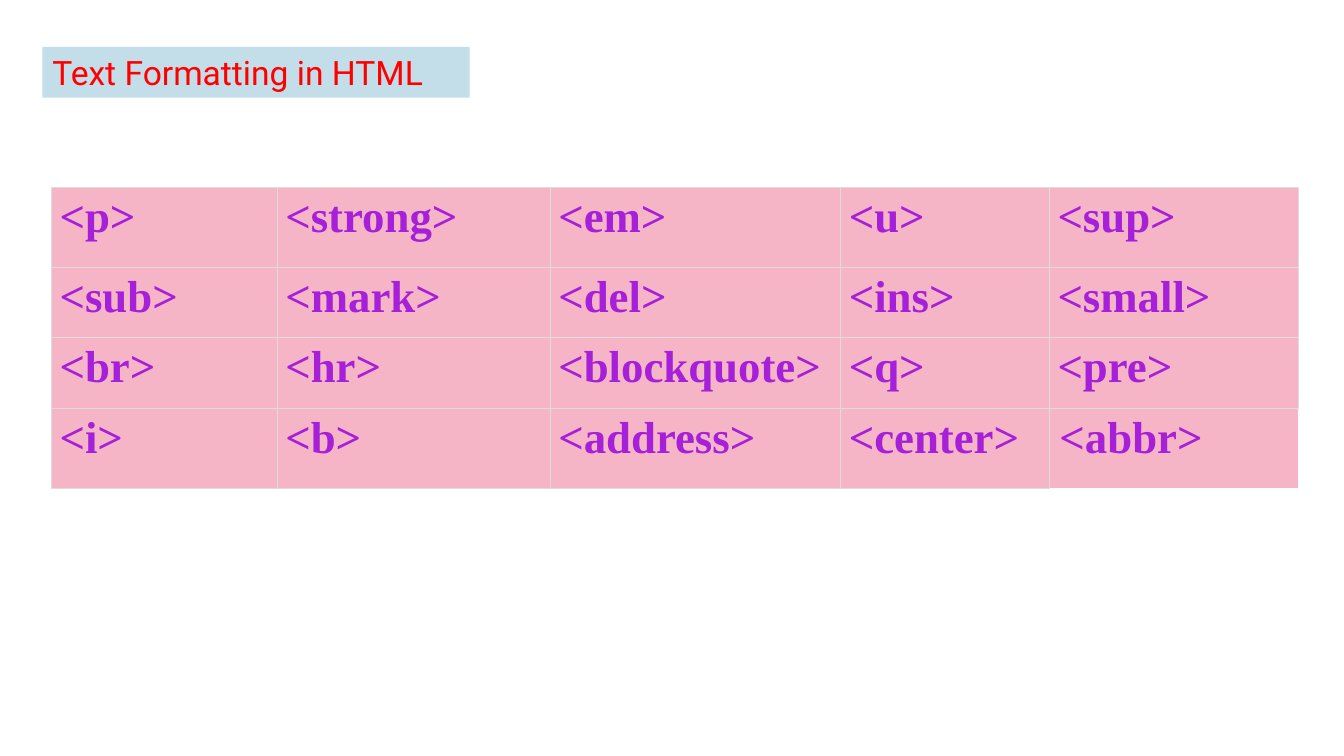
from lxml import etree
from pptx import Presentation
from pptx.dml.color import RGBColor
from pptx.enum.shapes import MSO_SHAPE
from pptx.enum.text import MSO_ANCHOR, PP_ALIGN
from pptx.oxml.ns import qn
from pptx.util import Cm, Pt

RECT = MSO_SHAPE.RECTANGLE
LEFT = PP_ALIGN.LEFT
TOP = MSO_ANCHOR.TOP

RED = RGBColor(0xFF, 0x00, 0x00)
BLUE = RGBColor(0xC3, 0xDE, 0xE9)
PINK = RGBColor(0xF6, 0xB5, 0xC7)
PURPLE = RGBColor(0xA5, 0x20, 0xD8)
GRAY = RGBColor(0xDD, 0xDD, 0xDD)

SIDES = "LRTB"
COLS = [5.69, 6.88, 7.32, 5.26, 6.27]
ROWS = [2.01, 1.78, 1.78, 2.01]
TAGS = [
    ["<p>", "<strong>", "<em>", "<u>", "<sup>"],
    ["<sub>", "<mark>", "<del>", "<ins>", "<small>"],
    ["<br>", "<hr>", "<blockquote>", "<q>", "<pre>"],
    ["<i>", "<b>", "<address>", "<center>", "<abbr>"],
]


def write(frame, text, font, size, color, bold=False):
    para = frame.paragraphs[0]
    para.alignment = LEFT
    run = para.add_run()
    run.text = text
    run.font.name = font
    run.font.size = Pt(size)
    run.font.color.rgb = color
    run.font.bold = bold


def edge(cell, drawn):
    """Draw the named sides of a cell and clear the others."""
    props = cell._tc.get_or_add_tcPr()
    for side in SIDES:
        line = etree.SubElement(props, qn(f"a:ln{side}"), w=str(Pt(0.75)))
        if side in drawn:
            fill = etree.SubElement(line, qn("a:solidFill"))
            etree.SubElement(fill, qn("a:srgbClr"), val=str(GRAY))
        else:
            etree.SubElement(line, qn("a:noFill"))


class Page:
    def __init__(self, slide):
        self.slide = slide
        self.head = {"font": "Roboto", "size": 24, "color": RED}
        self.body = {"font": "Times New Roman", "size": 32,
                     "color": PURPLE, "bold": True}

    def title(self, text, left, top, width, height):
        box = self.slide.shapes.add_shape(
            RECT, Cm(left), Cm(top), Cm(width), Cm(height))
        box.shadow.inherit = False
        box.fill.solid()
        box.fill.fore_color.rgb = BLUE
        box.line.fill.background()
        frame = box.text_frame
        frame.word_wrap = True
        frame.vertical_anchor = TOP
        write(frame, text, **self.head)

    def table(self, rows, left, top, widths, heights):
        grid = self.slide.shapes.add_table(
            len(rows), len(widths), Cm(left), Cm(top),
            Cm(sum(widths)), Cm(sum(heights))).table
        grid.first_row = grid.horz_banding = False
        for col, width in zip(grid.columns, widths):
            col.width = Cm(width)
        for row, height, texts in zip(grid.rows, heights, rows):
            row.height = Cm(height)
            for cell, text in zip(row.cells, texts):
                last = text == rows[-1][-1]
                edge(cell, "LT" if last else SIDES)
                cell.fill.solid()
                cell.fill.fore_color.rgb = PINK
                cell.margin_left = cell.margin_right = Cm(0.25 if last else 0.2)
                cell.margin_top = cell.margin_bottom = Cm(0.13)
                write(cell.text_frame, text, **self.body)


def main():
    deck = Presentation()
    deck.slide_width, deck.slide_height = Cm(33.87), Cm(19.05)
    page = Page(deck.slides.add_slide(deck.slide_layouts[6]))
    page.title("Text Formatting in HTML", 1.07, 1.18, 10.77, 1.28)
    page.table(TAGS, 1.3, 4.72, COLS, ROWS)
    deck.save("out.pptx")


if __name__ == "__main__":
    main()
